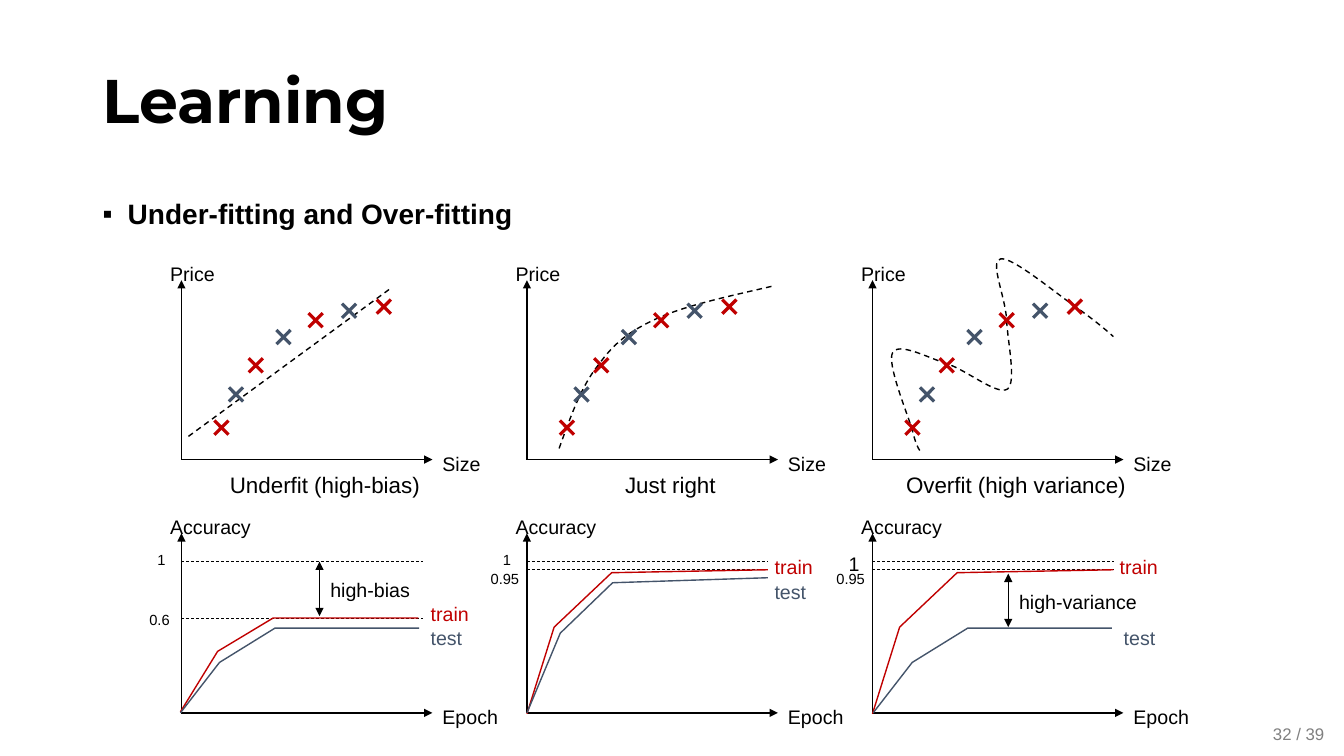
from dataclasses import dataclass
from lxml import etree
from pptx import Presentation
from pptx.dml.color import RGBColor
from pptx.enum.dml import MSO_LINE
from pptx.enum.shapes import MSO_CONNECTOR, MSO_SHAPE
from pptx.enum.text import MSO_ANCHOR, MSO_AUTO_SIZE, PP_ALIGN
from pptx.oxml.ns import qn
from pptx.util import Pt

DASH = MSO_LINE.DASH
STRAIGHT = MSO_CONNECTOR.STRAIGHT
CROSS = MSO_SHAPE.MATH_MULTIPLY
MIDDLE = MSO_ANCHOR.MIDDLE
GROW, FIXED = MSO_AUTO_SIZE.SHAPE_TO_FIT_TEXT, MSO_AUTO_SIZE.NONE
LEFT, CENTER, JUSTIFY = PP_ALIGN.LEFT, PP_ALIGN.CENTER, PP_ALIGN.JUSTIFY


@dataclass(frozen=True)
class Theme:
    ink: str = "000000"
    train: str = "C00000"
    test: str = "44546A"
    muted: str = "808080"
    heading: str = "Montserrat"
    body: str = "Arial"
    title: float = 44
    bullet: float = 20
    caption: float = 16
    label: float = 14
    page: float = 12
    tick: float = 10.5
    line: float = 1
    thin: float = 0.5


T = Theme()
AXIS_X, AXIS_Y, GUIDE = 179.3, 128.2, 172.4
LEVEL_1, LEVEL_95, LEVEL_6 = -108, -102.2, -67.7
MARK = 19.4
TRAIN_MARKS = [(18.9, -32.5), (43.4, -77), (86.2, -109.2), (134.9, -118.9)]
TEST_MARKS = [(29.3, -56.2), (63.2, -97.2), (110.1, -116)]

UNDERFIT = [(5, -16.6), (150.5, -123.1)]
JUST_RIGHT = [
    (23, -8), (31, -30.2), (38.9, -52.6), (51.1, -67.7), (62.6, -83.5),
    (72.7, -91.4), (92.9, -100.8), (113.8, -110.2), (144, -116.6), (175, -123.8)]
OVERFIT = [
    (33.8, -6.5), (32.4, -8.6), (31, -10.8), (28.1, -22.3), (24.5, -33.8),
    (10.1, -69.1), (14.4, -76.3), (18.7, -84.2), (39.6, -72.7), (53.3, -68.4),
    (67, -64.1), (89.3, -45.4), (96.5, -50.4), (103, -55.4), (96.5, -84.2),
    (95.8, -100.1), (95, -115.9), (83.5, -141.8), (91.4, -143.3), (99.4, -145.4),
    (131, -118.8), (144.7, -109.4), (157.7, -100.1), (164.9, -94.3), (172.1, -87.8)]

TRAIN_LOW = [(-0.7, -0.7), (25.9, -43.9), (65.5, -67.7), (169.2, -67.7)]
TEST_LOW = [(-0.7, 0), (27.2, -36), (66.8, -60.5), (169.8, -60.5)]
TEST_OVERFIT = [(dx + 1.2, dy) for dx, dy in TEST_LOW]
TRAIN_HIGH = [(0, 0.7), (19.4, -61.2), (60.5, -100.1), (172.1, -102.2)]
TEST_HIGH = [(0, 0), (23.8, -56.9), (61.2, -92.9), (172.1, -96.5)]

PANELS = [
    dict(caption="Underfit (high-bias)", fit=UNDERFIT, train=TRAIN_LOW, test=TEST_LOW,
         ticks=[("1", -24.3, -121.7, 22.3, T.tick), ("0.6", -30, -79.2, 35.3, T.tick)],
         levels=[LEVEL_1, LEVEL_6], train_at=(170.9, -86.1), test_at=(170.9, -69),
         gap=("high-bias", 98.6, LEVEL_1, -69.1, -103, 73.4)),
    dict(caption="Just right", fit=JUST_RIGHT, train=TRAIN_HIGH, test=TEST_HIGH,
         ticks=[("1", -24.3, -121.7, 22.3, T.tick), ("0.95", -33, -108, 44.6, T.tick)],
         levels=[LEVEL_1, LEVEL_95], train_at=(169.8, -119.5), test_at=(169.8, -102.2),
         gap=None),
    dict(caption="Overfit (high variance)", fit=OVERFIT, train=TRAIN_HIGH,
         test=TEST_OVERFIT,
         ticks=[("1", -24.1, -121.7, 22.3, T.label), ("0.95", -32.8, -108, 44.6, T.tick)],
         levels=[LEVEL_1, LEVEL_95], train_at=(169.5, -119.5), test_at=(172.4, -69),
         gap=("high-variance", 97, -99.4, -61.2, -95, 107.3)),
]


def add_text(shapes, text, x, y, w, h, size=T.label, color=T.ink, font=T.body,
             bold=False, align=JUSTIFY, spacing=1.2, fit=GROW, anchor=None,
             wrap=True, bullet=None):
    sp = shapes.add_textbox(Pt(x), Pt(y), Pt(w), Pt(h))
    tf = sp.text_frame
    tf.word_wrap = wrap
    tf.auto_size = fit
    if anchor is not None:
        tf.vertical_anchor = anchor
    p = tf.paragraphs[0]
    if bullet:
        pPr = p._p.get_or_add_pPr()
        pPr.set("marL", str(Pt(18)))
        pPr.set("indent", str(-Pt(18)))
        etree.SubElement(pPr, qn("a:buFont")).set("typeface", font)
        etree.SubElement(pPr, qn("a:buChar")).set("char", bullet)
    p.alignment = align
    p.line_spacing = spacing
    r = p.add_run()
    r.text = text
    r.font.name = font
    r.font.size = Pt(size)
    r.font.bold = bold
    r.font.color.rgb = RGBColor.from_string(color)


def style_line(line, color, width, dash=None):
    line.color.rgb = RGBColor.from_string(color)
    line.width = Pt(width)
    if dash is not None:
        line.dash_style = dash


def add_line(shapes, x1, y1, x2, y2, width=T.line, dash=None, ends=()):
    sp = shapes.add_connector(STRAIGHT, Pt(x1), Pt(y1), Pt(x2), Pt(y2))
    style_line(sp.line, T.ink, width, dash)
    ln = sp.line._get_or_add_ln()
    for end in ends:
        etree.SubElement(ln, qn("a:" + end)).set("type", "triangle")
    etree.SubElement(sp._element.spPr, qn("a:effectLst"))


def add_outline(shapes, x, y, points, color=T.ink, dash=None):
    pts = [(Pt(x + dx), Pt(y + dy)) for dx, dy in points]
    fb = shapes.build_freeform(*pts[0])
    fb.add_line_segments(pts[1:], close=False)
    sp = fb.convert_to_shape()
    sp.shadow.inherit = False
    sp.fill.background()
    style_line(sp.line, color, T.line, dash)
    return sp


def add_curve(shapes, x, y, controls):
    sp = add_outline(shapes, x, y, controls[::3], dash=DASH)
    segments = list(sp._element.iter(qn("a:lnTo")))
    for i, segment in enumerate(segments):
        segment.tag = qn("a:cubicBezTo")
        for k, (dx, dy) in enumerate(controls[3 * i + 1:3 * i + 3]):
            pt = etree.Element(qn("a:pt"))
            pt.set("x", str(Pt(x + dx) - sp.left))
            pt.set("y", str(Pt(y + dy) - sp.top))
            segment.insert(k, pt)


def add_axes(shapes, x, y, x_name, x_width, y_name, y_width):
    add_line(shapes, x, y, x + AXIS_X, y, ends=["tailEnd"])
    add_line(shapes, x, y, x, y - AXIS_Y, ends=["tailEnd"])
    add_text(shapes, y_name, x - 15.2, y - 148.3, y_width, 27.4)
    add_text(shapes, x_name, x + AXIS_X, y - 12.6, x_width, 27.4)


def add_marks(shapes, x, y, marks, color):
    for dx, dy in marks:
        sp = shapes.add_shape(CROSS, Pt(x + dx), Pt(y + dy), Pt(MARK), Pt(MARK))
        sp.adjustments[0] = 0.118
        sp.shadow.inherit = False
        sp.fill.solid()
        sp.fill.fore_color.rgb = RGBColor.from_string(color)
        sp.line.fill.background()


def add_fit_plot(slide, x, y, panel):
    fit = panel["fit"]
    if len(fit) == 2:
        (x1, y1), (x2, y2) = fit
        add_line(slide.shapes, x + x1, y + y1, x + x2, y + y2, dash=DASH)
    else:
        add_curve(slide.shapes, x, y, fit)
    plot = slide.shapes.add_group_shape().shapes
    add_axes(plot, x, y, "Size", 46.8, "Price", 61.2)
    add_marks(plot, x, y, TRAIN_MARKS, T.train)
    add_marks(slide.shapes.add_group_shape().shapes, x, y, TEST_MARKS, T.test)
    add_text(slide.shapes, panel["caption"], x - 8, y + 0.7, 221, 31, T.caption,
             align=CENTER)


def add_accuracy_plot(slide, x, y, panel):
    plot = slide.shapes.add_group_shape().shapes
    for level in panel["levels"]:
        add_line(plot, x, y + level, x + GUIDE, y + level, T.thin, DASH)
    add_axes(plot, x, y, "Epoch", 56.2, "Accuracy", 80.6)
    for text, dx, dy, w, size in panel["ticks"]:
        add_text(plot, text, x + dx, y + dy, w, 23, size)
    for name, color, w in (("train", T.train, 51.1), ("test", T.test, 40.3)):
        add_outline(plot, x, y, panel[name], color)
        dx, dy = panel[name + "_at"]
        add_text(plot, name, x + dx, y + dy, w, 27.4, color=color)
    if panel["gap"]:
        text, dx, top, bottom, text_top, w = panel["gap"]
        add_line(plot, x + dx, y + top, x + dx, y + bottom, T.thin,
                 ends=["headEnd", "tailEnd"])
        add_text(plot, text, x + dx + 0.6, y + text_top, w, 27.4)


def add_header(slide, x, y, w):
    add_text(slide.shapes, "Learning", x, y, w, 104.4, T.title, font=T.heading,
             bold=True, align=LEFT, spacing=0.9, fit=FIXED, anchor=MIDDLE)
    add_text(slide.shapes, "Under-fitting and Over-fitting", x, y + 103.7, w, 385.2,
             T.bullet, bold=True, align=LEFT, spacing=1.5, fit=FIXED, bullet="▪")


def main():
    prs = Presentation()
    prs.slide_width, prs.slide_height = Pt(960), Pt(540)
    slide = prs.slides.add_slide(prs.slide_layouts[6])
    add_header(slide, 66.2, 21.4, 828)
    for i, panel in enumerate(PANELS):
        x = 129.6 + 246.8 * i
        add_fit_plot(slide, x, 328.3, panel)
        add_accuracy_plot(slide, x, 509.2, panel)
    add_text(slide.shapes, "32 / 39", 902.2, 513.4, 52.6, 21.6, T.page, T.muted,
             align=LEFT, spacing=1, wrap=False)
    prs.save("out.pptx")


if __name__ == "__main__":
    main()
